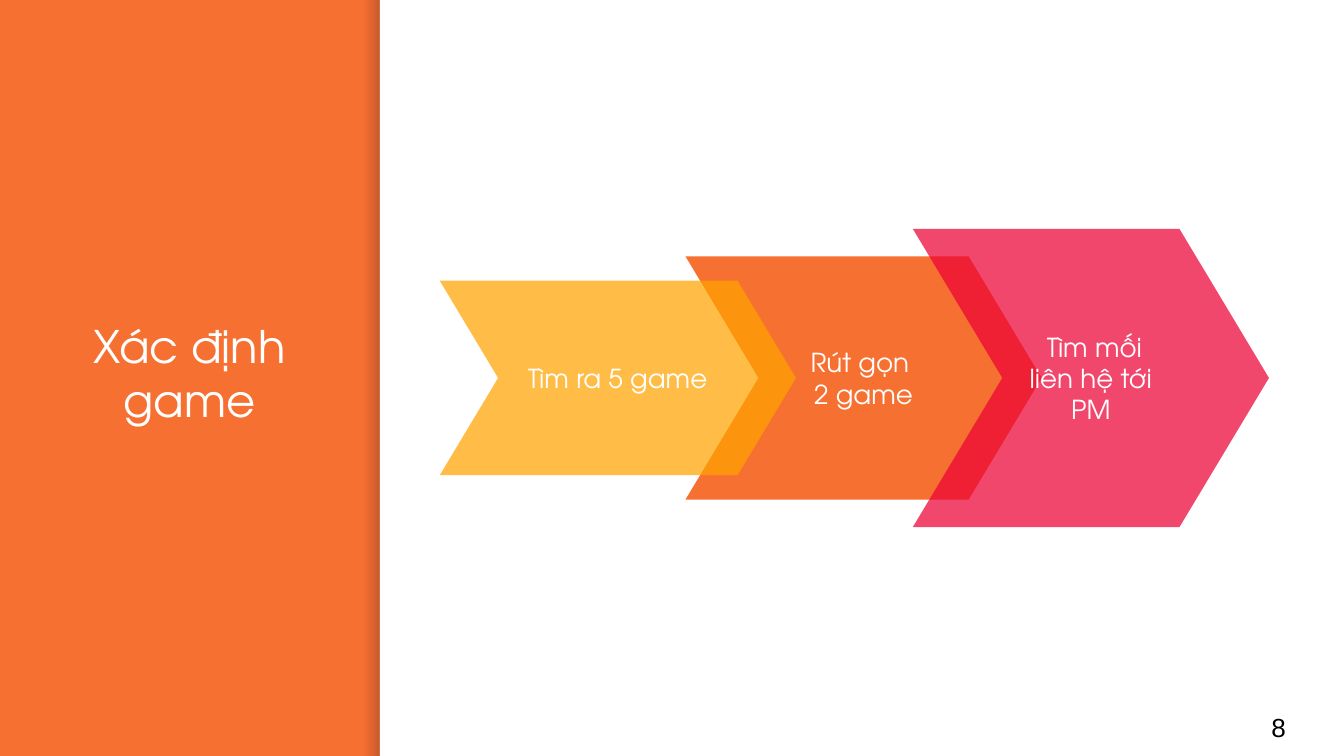
from lxml.etree import SubElement as Sub
from pptx import Presentation
from pptx.dml.color import RGBColor as Rgb
from pptx.enum.shapes import MSO_SHAPE as Geo
from pptx.enum.text import MSO_ANCHOR as Anchor, PP_ALIGN as Align
from pptx.oxml.ns import qn
from pptx.util import Pt

WIDE, HIGH = 720, 405
INK = {
    "back": "F67031",
    "white": "FFFFFF",
    "black": "000000",
    "shade": "000014",
    "gold": "FFA400",
    "rose": "ED0036",
}
FACE = "TeX Gyre Adventor"


def tint(color, name, alpha=100):
    color.rgb = Rgb.from_string(INK[name])
    if alpha < 100:
        node = color._xFill if hasattr(color, "_xFill") else color
        return node


def fade(root, alphas):
    for node, alpha in zip(root.iter(qn("a:srgbClr")), alphas):
        Sub(node, qn("a:alpha"), val=str(alpha * 1000))


def write(shape, text, size=14, face=FACE, ink="white", align=Align.CENTER,
          anchor=Anchor.MIDDLE):
    frame = shape.text_frame
    frame.word_wrap = True
    frame.vertical_anchor = anchor
    frame.margin_left = frame.margin_right = Pt(7.2)
    frame.margin_top = frame.margin_bottom = Pt(7.2)
    frame.text = text
    for para in frame.paragraphs:
        para.alignment = align
        para.font.size = Pt(size)
        para.font.name = face
        para.font.color.rgb = Rgb.from_string(INK[ink])


def label(slide, box, text, **form):
    shape = slide.shapes.add_textbox(*map(Pt, box))
    write(shape, text, **form)


def block(slide, geo, box):
    shape = slide.shapes.add_shape(geo, *map(Pt, box))
    shape.shadow.inherit = False
    shape.line.fill.background()
    return shape


def paint(shape, ink, alpha=100):
    shape.fill.solid()
    shape.fill.fore_color.rgb = Rgb.from_string(INK[ink])
    if alpha < 100:
        fade(shape.fill._xPr.find(qn("a:solidFill")), [alpha])


def edge(slide, box):
    shape = block(slide, Geo.RECTANGLE, box)
    shape.fill.gradient()
    shape.fill.gradient_angle = 0
    for stop in shape.fill.gradient_stops:
        stop.color.rgb = Rgb.from_string(INK["shade"])
    fade(shape.fill._xPr.find(qn("a:gradFill")), [0, 20])


def step(slide, left, high, text, ink, alpha=100):
    mid = 202.5
    shape = block(slide, Geo.CHEVRON, (left, mid - high / 2, 190.8, high))
    shape.adjustments[0] = 0.3
    paint(shape, ink, alpha)
    write(shape, text)


def main():
    deck = Presentation()
    deck.slide_width, deck.slide_height = Pt(WIDE), Pt(HIGH)
    slide = deck.slides.add_slide(deck.slide_layouts[6])
    fill = slide.background.fill
    fill.solid()
    fill.fore_color.rgb = Rgb.from_string(INK["back"])

    split = 203.5
    edge(slide, (split - 9, 0, 9, HIGH))
    paint(block(slide, Geo.RECTANGLE, (split, 0, WIDE - split, HIGH)), "white")
    label(slide, (21, 163.5, 161, 313), "Xác định game", size=24,
          anchor=Anchor.TOP)

    step(slide, 367.2, 130.4, "Rút gọn \n2 game", "back")
    label(slide, (674, 374, 43, 31), "8", face="Arial", ink="black",
          align=Align.LEFT)
    step(slide, 489, 159.8, " Tìm mối liên hệ tới PM", "rose", 72)
    step(slide, 235.6, 104.2, "Tìm ra 5 game", "gold", 72)
    deck.save("out.pptx")


if __name__ == "__main__":
    main()
